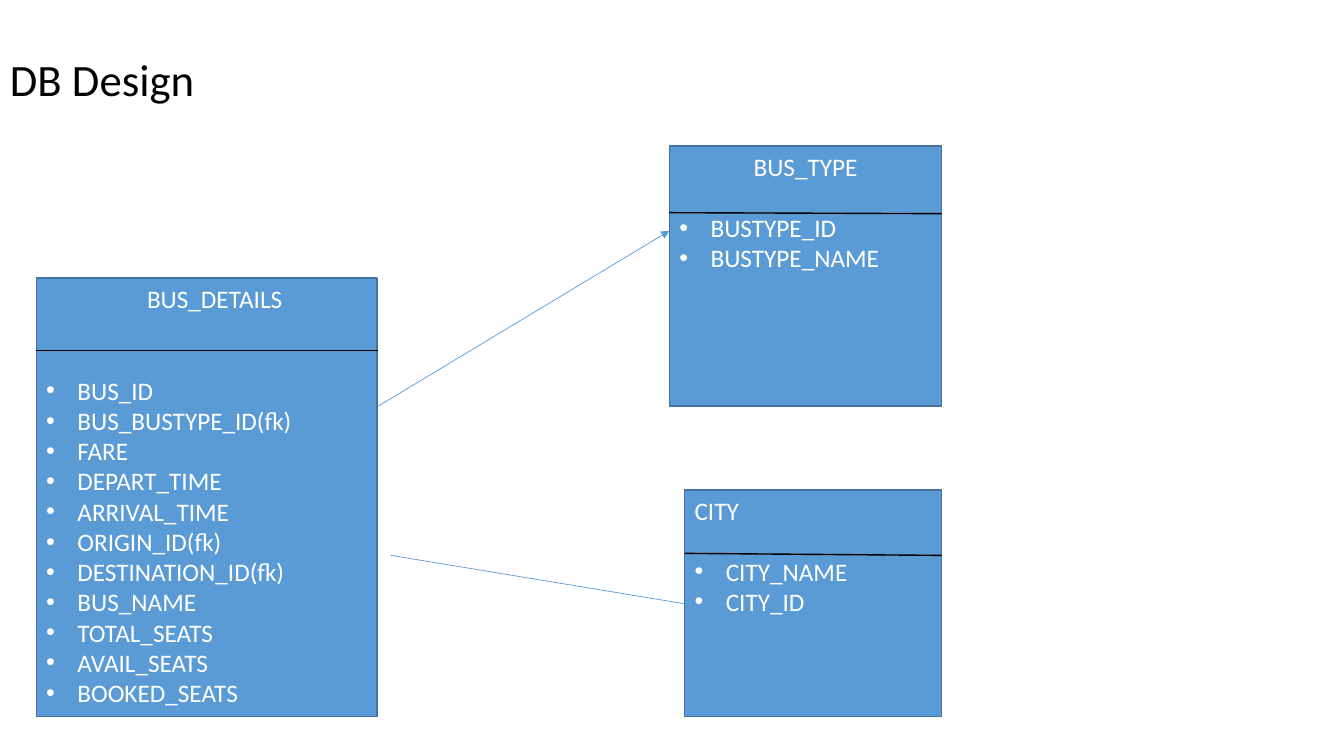
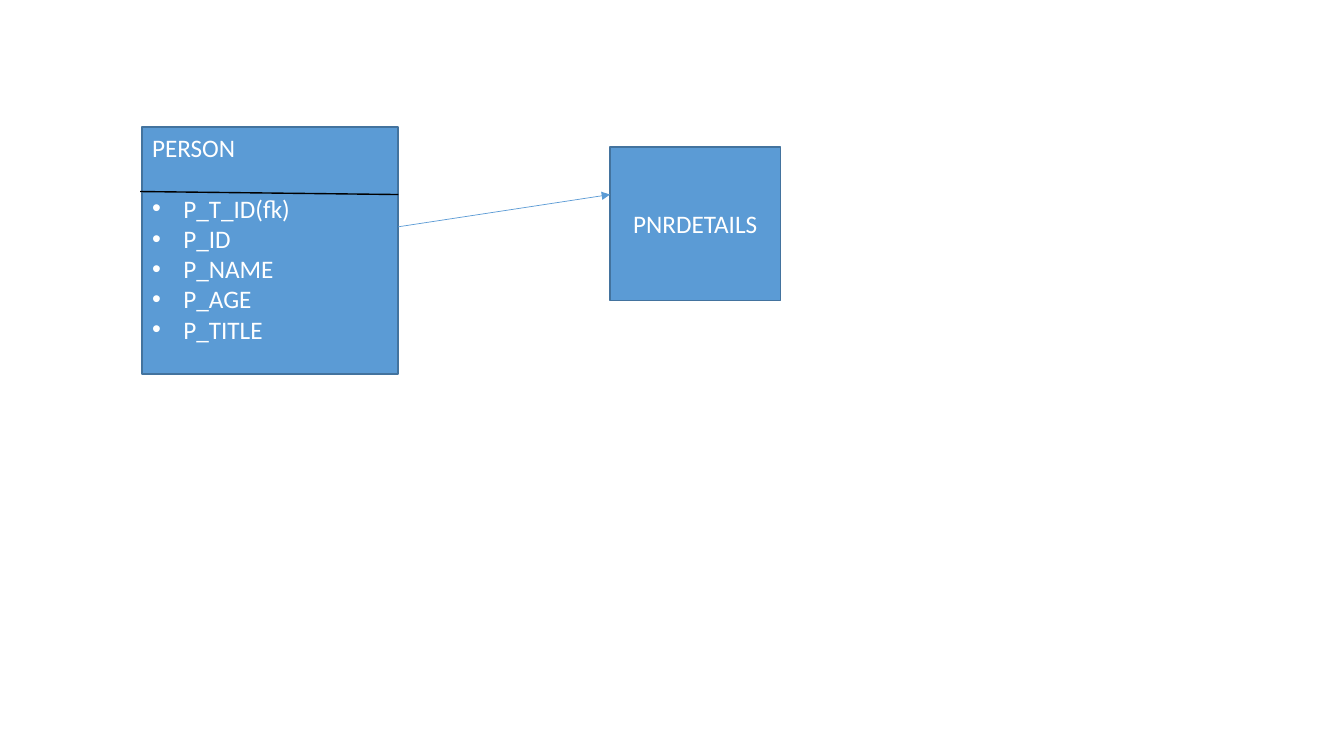
import dataclasses

import pptx
import pptx.dml.color
import pptx.enum.shapes
import pptx.enum.text
import pptx.oxml.ns
import pptx.util
import lxml.etree

Inches, Pt = pptx.util.Inches, pptx.util.Pt
RGB = pptx.dml.color.RGBColor.from_string
ALIGN = pptx.enum.text.PP_ALIGN
ANCHOR = pptx.enum.text.MSO_ANCHOR
qn = pptx.oxml.ns.qn


@dataclasses.dataclass(frozen=True)
class Theme:
    font: str = "Calibri"
    title_size: int = 32
    body_size: int = 18
    line_height: int = 22
    bullet_indent: float = 0.31
    entity_fill: str = "5B9BD5"
    entity_border: str = "43739E"
    relation: str = "5B9BD5"
    ink: str = "000000"
    entity_text: str = "FFFFFF"


theme = Theme()


def add_entity(slide, box, heading, fields, align=ALIGN.LEFT, heading_indent=0,
               gap_lines=1, anchor=ANCHOR.TOP):
    """Draw a database entity: a heading, a gap and a bulleted field list."""
    entity = slide.shapes.add_shape(
        pptx.enum.shapes.MSO_SHAPE.RECTANGLE, *map(Inches, box))
    entity.shadow.inherit = False
    entity.fill.solid()
    entity.fill.fore_color.rgb = RGB(theme.entity_fill)
    entity.line.color.rgb = RGB(theme.entity_border)
    entity.line.width = Pt(1)
    frame = entity.text_frame
    frame.word_wrap = True
    frame.vertical_anchor = anchor
    frame.text = "\n".join([heading, *fields])
    for index, paragraph in enumerate(frame.paragraphs):
        font = paragraph.runs[0].font
        font.name, font.size = theme.font, Pt(theme.body_size)
        font.color.rgb = RGB(theme.entity_text)
        properties = paragraph._p.get_or_add_pPr()
        if index == 0:
            paragraph.alignment = align
            properties.set("marL", str(Inches(heading_indent)))
            if fields:
                paragraph.space_after = Pt(gap_lines * theme.line_height)
        else:
            paragraph.alignment = ALIGN.LEFT
            properties.set("marL", str(Inches(theme.bullet_indent)))
            properties.set("indent", str(-Inches(theme.bullet_indent)))
            for tag, key, value in (("a:buFont", "typeface", "Arial"),
                                    ("a:buChar", "char", "•")):
                lxml.etree.SubElement(properties, qn(tag)).set(key, value)


def add_line(slide, ends, color, width, arrow=False):
    """Draw a straight line, with an arrowhead at its end if asked."""
    line = slide.shapes.add_connector(
        pptx.enum.shapes.MSO_CONNECTOR.STRAIGHT, *map(Inches, ends))
    line.line.color.rgb = RGB(color)
    line.line.width = Pt(width)
    properties = line._element.spPr
    if arrow:
        outline = properties.find(qn("a:ln"))
        lxml.etree.SubElement(outline, qn("a:tailEnd")).set("type", "triangle")
    lxml.etree.SubElement(properties, qn("a:effectLst"))


deck = pptx.Presentation()
deck.slide_width, deck.slide_height = Inches(13.33), Inches(7.5)
blank = deck.slide_layouts[6]

# Slide 1: bus tables
bus_slide = deck.slides.add_slide(blank)
title = bus_slide.shapes.add_textbox(
    Inches(0), Inches(0.4), Inches(11.5), Inches(0.82)).text_frame
title.word_wrap = True
title.vertical_anchor = ANCHOR.MIDDLE
title.text = "DB Design"
title.paragraphs[0].line_spacing = 0.9
title_font = title.paragraphs[0].runs[0].font
title_font.name, title_font.size = theme.font, Pt(theme.title_size)
title_font.color.rgb = RGB(theme.ink)

add_entity(bus_slide, (0.36, 2.76, 3.38, 4.35), "BUS_DETAILS",
           ["BUS_ID", "BUS_BUSTYPE_ID(fk)", "FARE", "DEPART_TIME",
            "ARRIVAL_TIME", "ORIGIN_ID(fk)", "DESTINATION_ID(fk)", "BUS_NAME",
            "TOTAL_SEATS", "AVAIL_SEATS", "BOOKED_SEATS"],
           heading_indent=1, gap_lines=2)
add_entity(bus_slide, (6.64, 1.45, 2.7, 2.58), "BUS_TYPE",
           ["BUSTYPE_ID", "BUSTYPE_NAME"], align=ALIGN.CENTER)
add_entity(bus_slide, (6.79, 4.86, 2.55, 2.25), "CITY",
           ["CITY_NAME", "CITY_ID"])

# Slide 2: passenger tables
person_slide = deck.slides.add_slide(blank)
add_entity(person_slide, (1.41, 1.26, 2.54, 2.45), "PERSON",
           ["P_T_ID(fk)", "P_ID", "P_NAME", "P_AGE", "P_TITLE"])
add_entity(person_slide, (6.05, 1.46, 1.69, 1.52), "PNRDETAILS", [],
           align=ALIGN.CENTER, anchor=ANCHOR.MIDDLE)

# Rules under the entity headings
for slide, ends in (
    (bus_slide, (0.36, 3.48, 3.75, 3.48)),
    (bus_slide, (6.64, 2.11, 9.34, 2.12)),
    (bus_slide, (6.79, 5.49, 9.34, 5.51)),
    (person_slide, (1.39, 1.9, 3.95, 1.93)),
):
    add_line(slide, ends, theme.ink, 1)

# Relations between entities
for slide, ends, arrow in (
    (bus_slide, (3.75, 4.03, 6.64, 2.29), True),
    (bus_slide, (3.88, 5.51, 6.79, 5.99), False),
    (person_slide, (3.95, 2.25, 6.05, 1.93), True),
):
    add_line(slide, ends, theme.relation, 0.5, arrow)

deck.save("out.pptx")
